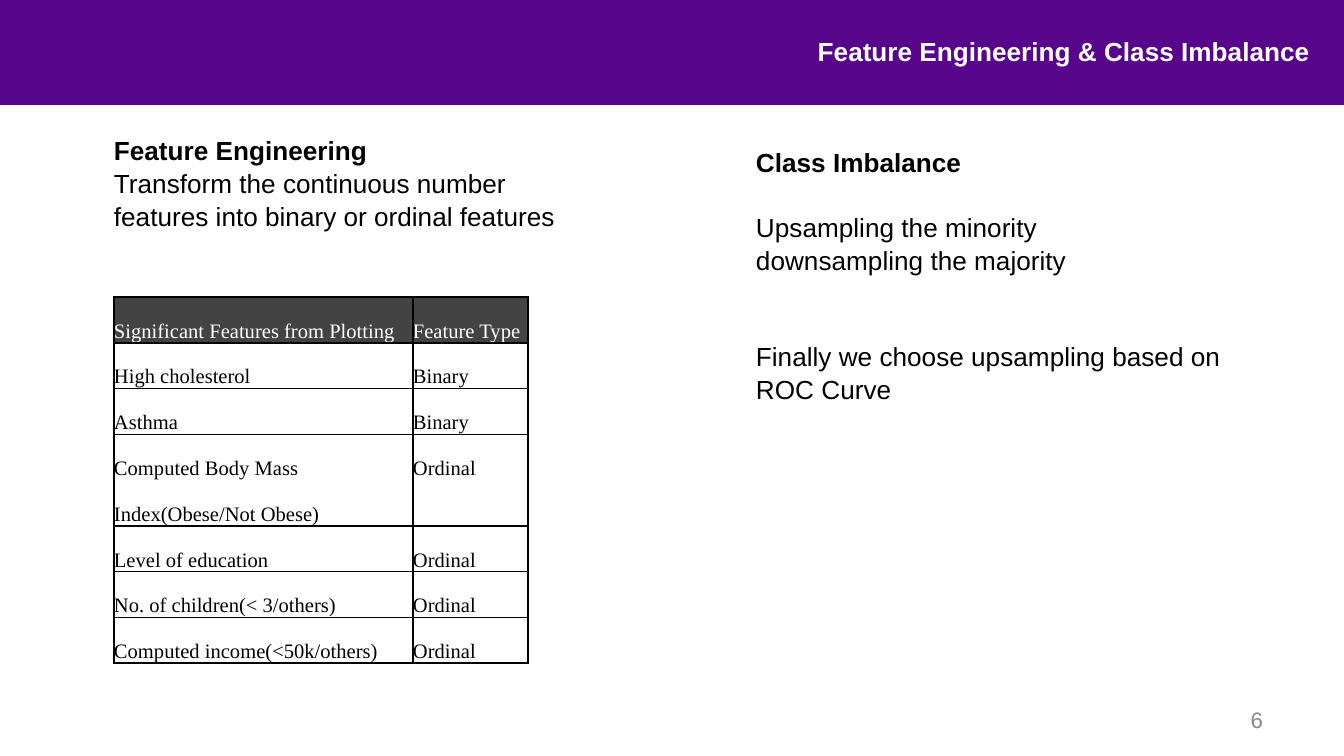
from dataclasses import dataclass

from lxml import etree
from pptx import Presentation
from pptx.dml.color import RGBColor
from pptx.enum.shapes import MSO_SHAPE
from pptx.enum.text import MSO_ANCHOR, MSO_AUTO_SIZE, PP_ALIGN
from pptx.oxml.ns import qn
from pptx.util import Emu, Pt

RECT = MSO_SHAPE.RECTANGLE
TOP, MIDDLE = MSO_ANCHOR.TOP, MSO_ANCHOR.MIDDLE
LEFT, RIGHT = PP_ALIGN.LEFT, PP_ALIGN.RIGHT
NO_FIT = MSO_AUTO_SIZE.NONE
SCALE = 914400 / 134.4


@dataclass(frozen=True)
class Theme:
    band: str = "57068C"
    head: str = "434343"
    ink: str = "000000"
    light: str = "FFFFFF"
    muted: str = "898989"
    sans: str = "Arial"
    serif: str = "Times New Roman"
    body: int = 14
    cell: int = 11
    page: int = 12
    lead: float = 1.05


THEME = Theme()

FEATURES = [
    ("Significant Features from Plotting", "Feature Type"),
    ("High cholesterol", "Binary"),
    ("Asthma", "Binary"),
    ("Computed Body Mass Index(Obese/Not Obese)", "Ordinal"),
    ("Level of education", "Ordinal"),
    ("No. of children(< 3/others)", "Ordinal"),
    ("Computed income(<50k/others)", "Ordinal"),
]


def px(count):
    return Emu(round(count * SCALE))


def style(para, size, color, face=THEME.sans, bold=False, align=LEFT, lead=THEME.lead):
    font = para.font
    font.name, font.size, font.bold = face, Pt(size), bold
    font.color.rgb = RGBColor.from_string(color)
    para.alignment = align
    para.line_spacing = lead


def set_frame(frame, anchor=TOP):
    frame.word_wrap = True
    frame.auto_size = NO_FIT
    frame.vertical_anchor = anchor
    frame.margin_left = frame.margin_right = 0
    frame.margin_top = frame.margin_bottom = 0


def add_band(slide, left, top, width, height):
    band = slide.shapes.add_shape(RECT, px(left), px(top), px(width), px(height))
    band.shadow.inherit = False
    band.fill.solid()
    band.fill.fore_color.rgb = RGBColor.from_string(THEME.band)
    band.line.fill.background()
    slide.shapes.element.insert(2, band.element)


def set_title(slide, text, left, top, width, height):
    title = slide.shapes.title
    title.left, title.top = px(left), px(top)
    title.width, title.height = px(width), px(height)
    set_frame(title.text_frame)
    title.text_frame.text = text
    style(title.text_frame.paragraphs[0], THEME.body, THEME.light, bold=True, align=RIGHT)


def add_notes(slide, left, top, width, height, head, lines):
    box = slide.shapes.add_textbox(px(left), px(top), px(width), px(height))
    frame = box.text_frame
    set_frame(frame)
    frame.text = head
    style(frame.paragraphs[0], THEME.body, THEME.ink, bold=True)
    for gap, text in lines:
        para = frame.add_paragraph()
        para.text = text
        para.space_before = Pt(gap)
        style(para, THEME.body, THEME.ink)


def add_page(slide, text, left, top, width, height):
    box = slide.shapes.add_textbox(px(left), px(top), px(width), px(height))
    set_frame(box.text_frame, MIDDLE)
    box.text_frame.text = text
    style(box.text_frame.paragraphs[0], THEME.page, THEME.muted, align=RIGHT, lead=1.0)


def add_border(cell):
    props = cell._tc.get_or_add_tcPr()
    for spot, side in enumerate(("a:lnL", "a:lnR", "a:lnT", "a:lnB")):
        line = etree.Element(qn(side), w=str(Pt(1)))
        fill = etree.SubElement(line, qn("a:solidFill"))
        etree.SubElement(fill, qn("a:srgbClr"), val=THEME.ink)
        props.insert(spot, line)


def fill_cell(cell, text, is_head):
    cell.margin_left = cell.margin_right = 0
    cell.margin_top = cell.margin_bottom = 0
    cell.text = text
    color = THEME.light if is_head else THEME.ink
    style(cell.text_frame.paragraphs[0], THEME.cell, color, THEME.serif, lead=2.0)
    if is_head:
        cell.fill.solid()
        cell.fill.fore_color.rgb = RGBColor.from_string(THEME.head)
    else:
        cell.fill.background()
    add_border(cell)


def add_grid(slide, rows, left, top, widths, height):
    frame = slide.shapes.add_table(
        len(rows), len(widths), px(left), px(top), px(sum(widths)), px(height * len(rows))
    )
    table = frame.table
    table.horz_banding = False
    for col, width in zip(table.columns, widths):
        col.width = px(width)
    for r, row in enumerate(rows):
        table.rows[r].height = px(height)
        for c, text in enumerate(row):
            fill_cell(table.cell(r, c), text, r == 0)


def main():
    deck = Presentation()
    deck.slide_width, deck.slide_height = px(1344), px(756)
    slide = deck.slides.add_slide(deck.slide_layouts[5])
    add_band(slide, 0, 0, 1345, 105)
    set_title(slide, "Feature Engineering & Class Imbalance", 782, 34, 528, 39)
    add_notes(slide, 114, 133, 465, 140, "Feature Engineering", [
        (0, "Transform the continuous number features into binary or ordinal features"),
    ])
    add_grid(slide, FEATURES, 114, 297, (299, 115), 45)
    add_notes(slide, 756, 145, 465, 146, "Class Imbalance", [
        (17, "Upsampling the minority"),
        (0, "downsampling the majority"),
        (34, "Finally we choose upsampling based on ROC Curve"),
    ])
    add_page(slide, "6", 964, 700, 299, 40)
    deck.save("out.pptx")


main()
